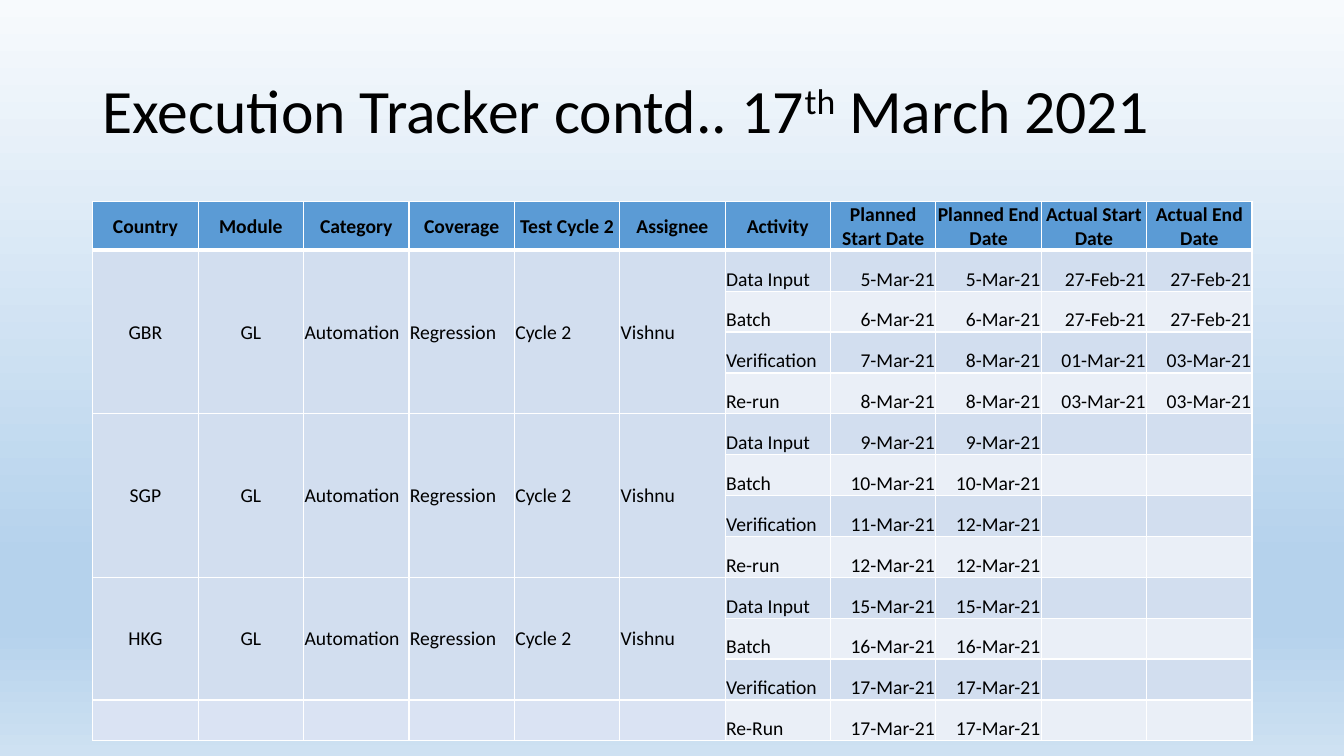
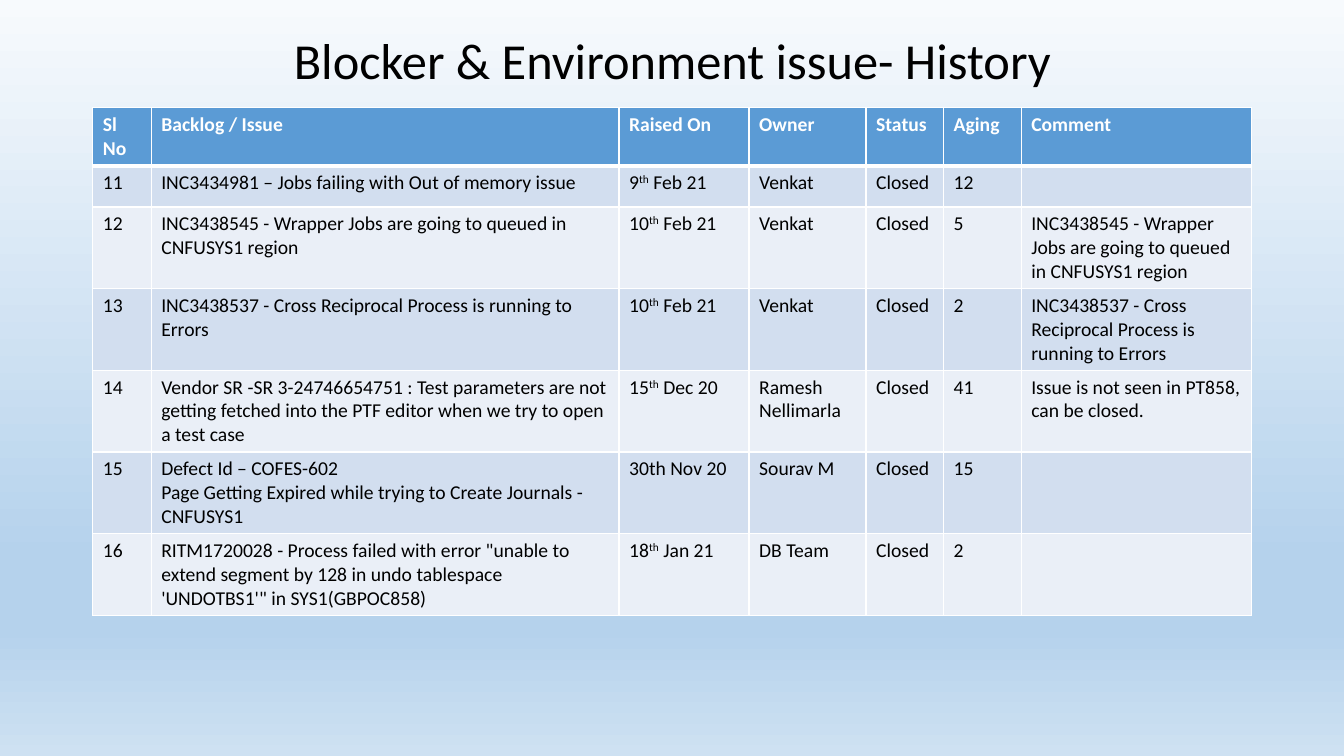
import pptx
import pptx.util
import pptx.dml.color
import pptx.enum.text
import pptx.oxml
import pptx.oxml.ns
import lxml.etree

Inches = pptx.util.Inches
Pt = pptx.util.Pt
ALIGN = pptx.enum.text.PP_ALIGN
ANCHOR = pptx.enum.text.MSO_ANCHOR

COLORS = {
    "text": "000000",
    "white": "FFFFFF",
    "header": "5B9BD5",
    "band_dark": "D2DEEF",
    "band_light": "EAEFF7",
    "unassigned": "DAE3F3",
    "sky_top": "F7FAFD",
    "sky_deep": "B5D2EC",
    "sky_bottom": "CEE1F2",
}
BACKGROUND_STOPS = [(0, "sky_top"), (74, "sky_deep"), (83, "sky_deep"), (100, "sky_bottom")]
LEFT, WIDTH = 0.92, 11.5
FONT_NAME = "Calibri"

TITLE_FRAME = {
    "word_wrap": True,
    "auto_size": pptx.enum.text.MSO_AUTO_SIZE.NONE,
    "vertical_anchor": ANCHOR.MIDDLE,
}
TIGHT_MARGINS = {
    "margin_left": Inches(0.01),
    "margin_top": Inches(0.01),
    "margin_right": Inches(0.01),
    "margin_bottom": 0,
}

TRACKER_HEADER = [
    "Country", "Module", "Category", "Coverage", "Test Cycle 2", "Assignee", "Activity",
    "Planned Start Date", "Planned End Date", "Actual Start Date", "Actual End Date",
]
ASSIGNMENT = ["GL", "Automation", "Regression", "Cycle 2", "Vishnu"]
ASSIGNMENT_COLUMNS = 1 + len(ASSIGNMENT)
TRACKER_GROUPS = [
    ("GBR", [
        ["Data Input", "5-Mar-21", "5-Mar-21", "27-Feb-21", "27-Feb-21"],
        ["Batch", "6-Mar-21", "6-Mar-21", "27-Feb-21", "27-Feb-21"],
        ["Verification", "7-Mar-21", "8-Mar-21", "01-Mar-21", "03-Mar-21"],
        ["Re-run", "8-Mar-21", "8-Mar-21", "03-Mar-21", "03-Mar-21"],
    ]),
    ("SGP", [
        ["Data Input", "9-Mar-21", "9-Mar-21", "", ""],
        ["Batch", "10-Mar-21", "10-Mar-21", "", ""],
        ["Verification", "11-Mar-21", "12-Mar-21", "", ""],
        ["Re-run", "12-Mar-21", "12-Mar-21", "", ""],
    ]),
    ("HKG", [
        ["Data Input", "15-Mar-21", "15-Mar-21", "", ""],
        ["Batch", "16-Mar-21", "16-Mar-21", "", ""],
        ["Verification", "17-Mar-21", "17-Mar-21", "", ""],
    ]),
    ("", [["Re-Run", "17-Mar-21", "17-Mar-21", "", ""]]),
]

ISSUE_COLUMNS = [0.58, 4.64, 1.29, 1.16, 0.77, 0.77, 2.28]
ISSUE_ROWS = [
    ["Sl No", "Backlog / Issue", "Raised On", "Owner", "Status", "Aging", "Comment"],
    ["11", "INC3434981 – Jobs failing with Out of memory issue",
     "9^th^ Feb 21", "Venkat", "Closed", "12", ""],
    ["12", "INC3438545 - Wrapper Jobs are going to queued in CNFUSYS1 region",
     "10^th^ Feb 21", "Venkat", "Closed", "5",
     "INC3438545 - Wrapper Jobs are going to queued in CNFUSYS1 region"],
    ["13", "INC3438537 - Cross Reciprocal Process is running to Errors",
     "10^th^ Feb 21", "Venkat", "Closed", "2",
     "INC3438537 - Cross Reciprocal Process is running to Errors"],
    ["14", "Vendor SR -SR 3-24746654751 : Test parameters are not getting fetched "
           "into the PTF editor when we try to open a test case",
     "15^th^ Dec 20", "Ramesh Nellimarla", "Closed", "41",
     "Issue is not seen in PT858, can be closed."],
    ["15", "Defect Id – COFES-602\n"
           "Page Getting Expired while trying to Create Journals - CNFUSYS1",
     "30th Nov 20", "Sourav M", "Closed", "15", ""],
    ["16", "RITM1720028 - Process failed with error \"unable to extend segment by 128 "
           "in undo tablespace 'UNDOTBS1'\" in SYS1(GBPOC858)",
     "18^th^ Jan 21", "DB Team", "Closed", "2", ""],
]


def color(name):
    return pptx.dml.color.RGBColor.from_string(COLORS[name])


def apply_format(target, values):
    for name, value in values.items():
        setattr(target, name, value)


def add_xml(parent, tag, **attributes):
    return lxml.etree.SubElement(parent, pptx.oxml.ns.qn(tag), attributes)


def set_background(master):
    fill = master.background.fill
    fill.gradient()
    fill.gradient_angle = 270
    stops = master._element.find(".//" + pptx.oxml.ns.qn("a:gsLst"))
    stops.clear()
    for percent, name in BACKGROUND_STOPS:
        stop = add_xml(stops, "a:gs", pos=str(percent * 1000))
        add_xml(stop, "a:srgbClr", val=COLORS[name])


def write_text(text_frame, text, size, color_name, bold=False, **paragraph_format):
    for index, line in enumerate(text.split("\n")):
        paragraph = text_frame.add_paragraph() if index else text_frame.paragraphs[0]
        apply_format(paragraph, paragraph_format)
        for position, part in enumerate(line.split("^")):
            if not part:
                continue
            run = paragraph.add_run()
            run.text = part
            apply_format(run.font, {"name": FONT_NAME, "size": Pt(size), "bold": bold})
            run.font.color.rgb = color(color_name)
            if position % 2:
                run._r.get_or_add_rPr().set("baseline", "30000")


def add_titled_slide(presentation, text, top, height, size, alignment):
    slide = presentation.slides.add_slide(presentation.slide_layouts[5])
    title = slide.shapes.title
    apply_format(title, {
        "left": Inches(LEFT), "top": Inches(top),
        "width": Inches(WIDTH), "height": Inches(height),
    })
    apply_format(title.text_frame, TITLE_FRAME)
    write_text(title.text_frame, text, size, "text", alignment=alignment, line_spacing=0.9)
    return slide


def set_borders(cell, top, bottom):
    properties = cell._tc.get_or_add_tcPr()
    widths = {"a:lnL": 1, "a:lnR": 1, "a:lnT": top, "a:lnB": bottom}
    for index, (tag, width) in enumerate(widths.items()):
        line = add_xml(properties, tag, w=str(Pt(width)))
        add_xml(add_xml(line, "a:solidFill"), "a:srgbClr", val=COLORS["white"])
        properties.insert(index, line)


def row_fill(row):
    if row == 0:
        return "header"
    return "band_dark" if row % 2 else "band_light"


def add_grid(slide, top, columns, heights, rows, header_color, cell_style):
    frame = slide.shapes.add_table(
        len(rows), len(columns), Inches(LEFT), Inches(top),
        Inches(WIDTH), Inches(sum(heights)))
    table = frame.table
    for column, width in zip(table.columns, columns):
        column.width = Inches(width)
    for row, height in zip(table.rows, heights):
        row.height = Inches(height)
    for row, values in enumerate(rows):
        for column, text in enumerate(values):
            cell = table.cell(row, column)
            cell_format, alignment = cell_style(row, column)
            apply_format(cell, cell_format)
            cell.fill.solid()
            cell.fill.fore_color.rgb = color(row_fill(row))
            set_borders(cell, top=3 if row == 1 else 1, bottom=1 if row else 3)
            write_text(cell.text_frame, text, 14, "text" if row else header_color,
                       bold=row == 0, alignment=alignment)
    return table


def tracker_style(row, column):
    centered = row == 0 or column < 2
    middle = row == 0 or column < ASSIGNMENT_COLUMNS
    cell_format = {**TIGHT_MARGINS, "vertical_anchor": ANCHOR.MIDDLE if middle else ANCHOR.BOTTOM}
    if centered:
        return cell_format, ALIGN.CENTER
    return cell_format, ALIGN.RIGHT if column > ASSIGNMENT_COLUMNS else ALIGN.LEFT


def issue_style(row, column):
    return {"vertical_anchor": ANCHOR.TOP}, ALIGN.LEFT


def add_tracker(slide):
    rows = [TRACKER_HEADER]
    for country, activities in TRACKER_GROUPS:
        for index, activity in enumerate(activities):
            named = country and index == 0
            rows.append(([country] + ASSIGNMENT if named else [""] * ASSIGNMENT_COLUMNS) + activity)
    count = len(TRACKER_HEADER)
    heights = [0.47] + [(5.34 - 0.47) / (len(rows) - 1)] * (len(rows) - 1)
    table = add_grid(slide, 2, [WIDTH / count] * count, heights, rows, "text", tracker_style)
    first = 1
    for country, activities in TRACKER_GROUPS:
        last = first + len(activities) - 1
        for column in range(ASSIGNMENT_COLUMNS):
            cell = table.cell(first, column)
            if country:
                cell.merge(table.cell(last, column))
            cell.fill.fore_color.rgb = color("band_dark" if country else "unassigned")
        first = last + 1


def main():
    presentation = pptx.Presentation()
    apply_format(presentation, {"slide_width": Inches(13.33), "slide_height": Inches(7.5)})
    set_background(presentation.slide_master)
    tracker = add_titled_slide(
        presentation, "Execution Tracker contd.. 17^th^ March 2021", 0.4, 1.45, 44, ALIGN.LEFT)
    add_tracker(tracker)
    history = add_titled_slide(
        presentation, "Blocker & Environment issue- History", 0.05, 1.15, 36, ALIGN.CENTER)
    add_grid(history, 1.07, ISSUE_COLUMNS, [0.41] * len(ISSUE_ROWS), ISSUE_ROWS,
             "white", issue_style)
    presentation.save("out.pptx")


if __name__ == "__main__":
    main()
